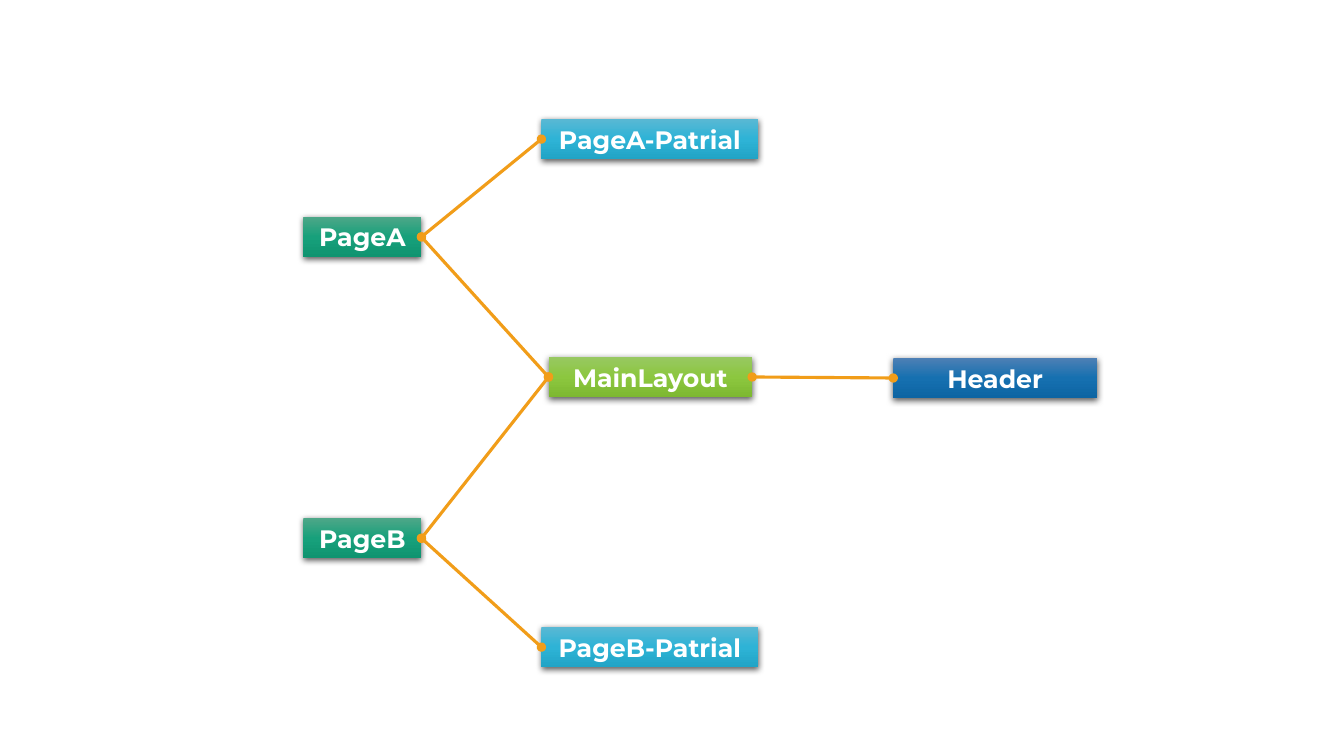
import pptx
import pptx.dml.color
import pptx.enum.shapes
import pptx.enum.text
import pptx.oxml
import pptx.oxml.ns
import pptx.util

PX = 9144  # 100 px to the inch
BOX_HEIGHT = 40
RIGHT, LEFT = 3, 1
FONT = "Montserrat"
NAMESPACE = pptx.oxml.ns.nsdecls("a")

GREEN = ("4EA788", "17A07B", "0F9470")
LIME = ("98C862", "8CC73F", "7DB831")
BLUE = ("4E80B5", "1670B0", "0D65A3")
CYAN = ("59B8D4", "2EB3D6", "21A4C6")


def color(value):
    return pptx.dml.color.RGBColor.from_string(value)


def add_xml(parent, position, xml):
    parent.insert(position, pptx.oxml.parse_xml(xml))


presentation = pptx.Presentation()
presentation.slide_width = 1333 * PX
presentation.slide_height = 750 * PX
slide = presentation.slides.add_slide(presentation.slide_layouts[6])

# Boxes: label, left, top, width, gradient
boxes = {}
for label, left, top, width, gradient in [
    ("PageA", 301, 215, 117, GREEN),
    ("PageB", 301, 514, 117, GREEN),
    ("MainLayout", 544, 354, 202, LIME),
    ("Header", 886, 355, 202, BLUE),
    ("PageA-Patrial", 537, 118, 215, CYAN),
    ("PageB-Patrial", 537, 622, 215, CYAN),
]:
    shape = slide.shapes.add_shape(
        pptx.enum.shapes.MSO_SHAPE.RECTANGLE,
        left * PX, top * PX, width * PX, BOX_HEIGHT * PX)
    boxes[label] = shape
    shape.line.fill.background()
    shape.shadow.inherit = False

    # Vertical gradient and soft shadow below
    properties = shape._element.spPr
    stops = "".join(
        f'<a:gs pos="{index * 50000}"><a:srgbClr val="{value}"/></a:gs>'
        for index, value in enumerate(gradient))
    add_xml(properties, 2,
            f'<a:gradFill {NAMESPACE} rotWithShape="1"><a:gsLst>{stops}</a:gsLst>'
            '<a:lin ang="5400000" scaled="0"/></a:gradFill>')
    add_xml(properties.find(pptx.oxml.ns.qn("a:effectLst")), 0,
            f'<a:outerShdw {NAMESPACE} blurRad="57150" dist="19050" dir="5400000" '
            'algn="ctr" rotWithShape="0"><a:srgbClr val="000000">'
            '<a:alpha val="63000"/></a:srgbClr></a:outerShdw>')

    # Label
    text_frame = shape.text_frame
    text_frame.text = label
    text_frame.word_wrap = True
    text_frame.auto_size = pptx.enum.text.MSO_AUTO_SIZE.SHAPE_TO_FIT_TEXT
    paragraph = text_frame.paragraphs[0]
    paragraph.alignment = pptx.enum.text.PP_ALIGN.CENTER
    font = paragraph.runs[0].font
    font.name = FONT
    font.size = pptx.util.Pt(18)
    font.bold = True
    font.color.rgb = color("FFFFFF")

# Links from the right side of one box to the left side of the next
for start, end in [
    ("PageA", "PageA-Patrial"),
    ("PageA", "MainLayout"),
    ("PageB", "PageB-Patrial"),
    ("PageB", "MainLayout"),
    ("MainLayout", "Header"),
]:
    connector = slide.shapes.add_connector(
        pptx.enum.shapes.MSO_CONNECTOR.STRAIGHT, 0, 0, 0, 0)
    connector.begin_connect(boxes[start], RIGHT)
    connector.end_connect(boxes[end], LEFT)
    connector.line.color.rgb = color("F19D19")
    connector.line.width = pptx.util.Pt(2.25)
    line = connector.line._get_or_add_ln()
    for tag in ("headEnd", "tailEnd"):
        add_xml(line, len(line), f'<a:{tag} {NAMESPACE} type="oval"/>')
    properties = connector._element.spPr
    add_xml(properties, len(properties), f"<a:effectLst {NAMESPACE}/>")

presentation.save("out.pptx")
